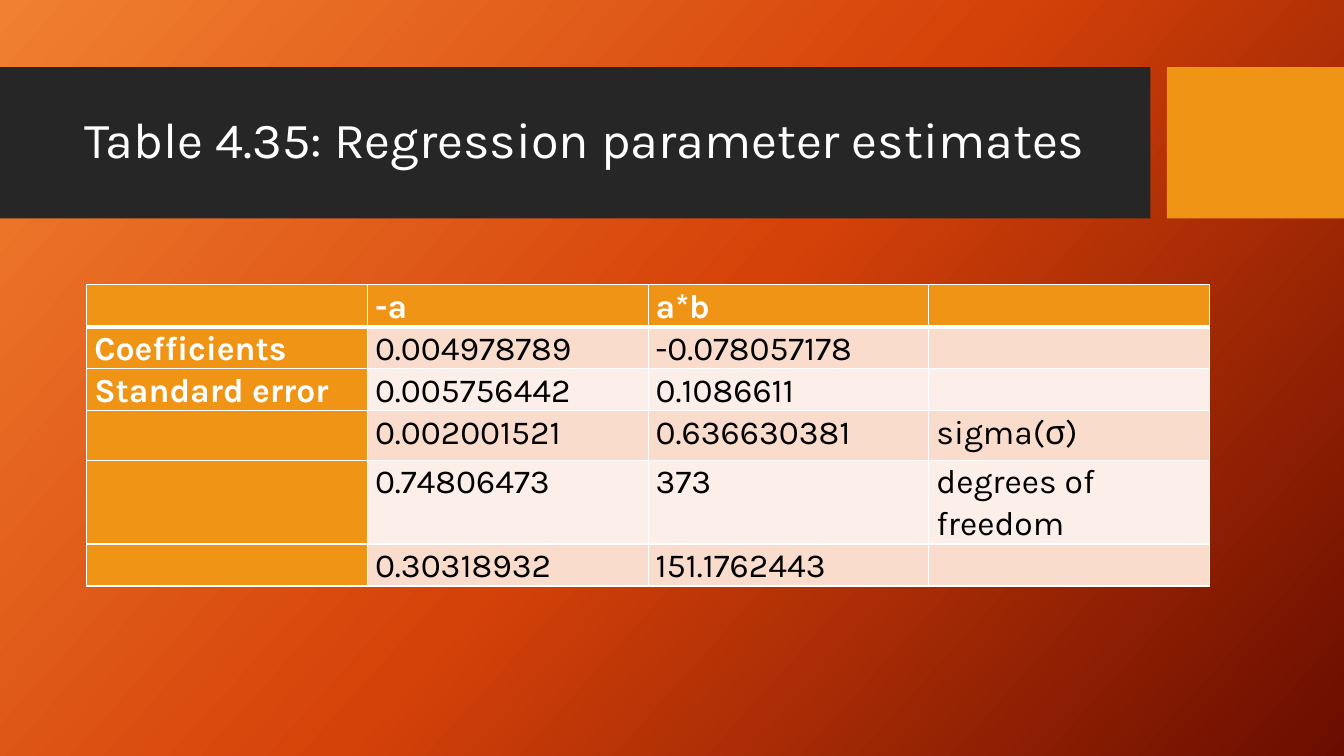
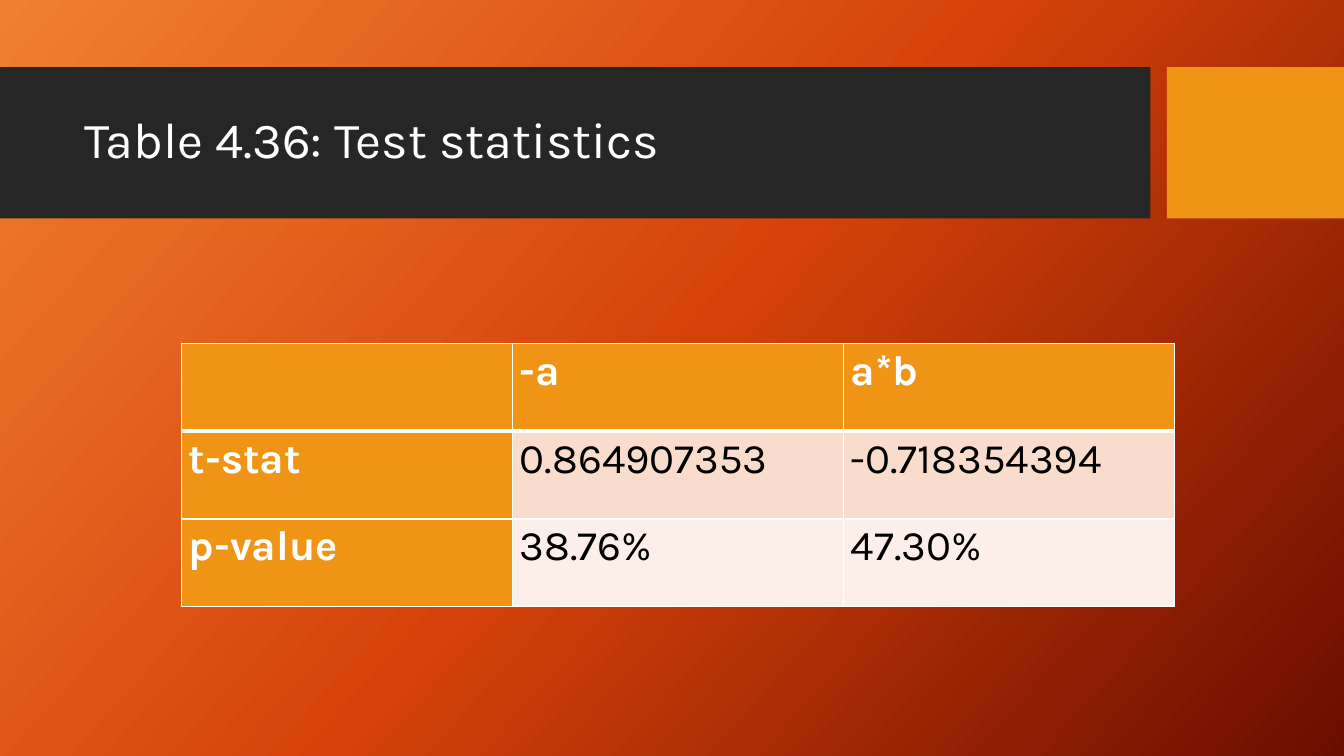
from dataclasses import dataclass

from lxml import etree
from pptx import Presentation
from pptx.dml.color import RGBColor
from pptx.enum.shapes import MSO_SHAPE
from pptx.enum.text import MSO_ANCHOR, PP_ALIGN
from pptx.oxml.ns import qn
from pptx.util import Pt

RECT = MSO_SHAPE.RECTANGLE
MIDDLE, TOP = MSO_ANCHOR.MIDDLE, MSO_ANCHOR.TOP
LEFT = PP_ALIGN.LEFT
TITLE_ONLY = 5


@dataclass(frozen=True)
class Theme:
    font: str = "Karla"
    white: str = "FFFFFF"
    black: str = "000000"
    dark: str = "262626"
    accent: str = "F09415"
    tints: tuple[str, str] = ("FCEEE8", "F9DCCC")
    stops: tuple[str, ...] = ("F18031", "D54209", "6A0D00")
    angle: int = 42
    title: float = 36
    thin: float = 1
    thick: float = 3


@dataclass(frozen=True)
class Box:
    left: float
    top: float
    width: float
    height: float


@dataclass(frozen=True)
class Band:
    box: Box
    fill: str


@dataclass(frozen=True)
class Grid:
    title: str
    left: float
    top: float
    width: float
    size: float
    heights: tuple[float, ...]
    rows: tuple[tuple[str, ...], ...]


THEME = Theme()
TITLE_BOX = Box(53.5, 59, 756.5, 85)
BANDS = (
    Band(Box(0, 48, 821.75, 108), THEME.dark),
    Band(Box(833.5, 48, 126.5, 108), THEME.accent),
)
GRIDS = (
    Grid("Table 4.35: Regression parameter estimates",
         62, 203.5, 802, 24, (29, 29, 29, 35.3, 30, 29), (
             ("", "-a", "a*b", ""),
             ("Coefficients", "0.004978789", "-0.078057178", ""),
             ("Standard error", "0.005756442", "0.1086611", ""),
             ("", "0.002001521", "0.636630381", "sigma(σ)"),
             ("", "0.74806473", "373", "degrees of freedom"),
             ("", "0.30318932", "151.1762443", ""),
         )),
    Grid("Table 4.36: Test statistics",
         129.5, 245.5, 709.5, 30, (62.6,) * 3, (
             ("", "-a", "a*b"),
             ("t-stat", "0.864907353", "-0.718354394"),
             ("p-value", "38.76%", "47.30%"),
         )),
)


def write(frame, text: str, *, size: float, color: str,
          bold: bool = False, spacing: float = 1.0) -> None:
    para = frame.paragraphs[0]
    para.alignment = LEFT
    para.line_spacing = spacing
    if not text:
        return
    run = para.add_run()
    run.text = text
    font = run.font
    font.name, font.size, font.bold = THEME.font, Pt(size), bold
    font.color.rgb = RGBColor.from_string(color)


def paint(fill, color: str) -> None:
    fill.solid()
    fill.fore_color.rgb = RGBColor.from_string(color)


def place(shape, box: Box) -> None:
    shape.left, shape.top = Pt(box.left), Pt(box.top)
    shape.width, shape.height = Pt(box.width), Pt(box.height)


def set_back(layout) -> None:
    fill = layout.background.fill
    fill.gradient()
    fill.gradient_angle = 360 - THEME.angle
    stops = layout.element.find(".//" + qn("a:gsLst"))
    for stop in list(stops):
        stops.remove(stop)
    step = 100000 // (len(THEME.stops) - 1)
    for i, color in enumerate(THEME.stops):
        stop = etree.SubElement(stops, qn("a:gs"), pos=str(i * step))
        etree.SubElement(stop, qn("a:srgbClr"), val=color)


def set_bands(layout, slide) -> None:
    """Draw the bands on a slide, then move them behind the layout's text."""
    tree = layout.element.cSld.spTree
    for i, band in enumerate(BANDS):
        box = band.box
        shape = slide.shapes.add_shape(
            RECT, Pt(box.left), Pt(box.top), Pt(box.width), Pt(box.height))
        shape.shadow.inherit = False
        paint(shape.fill, band.fill)
        shape.line.fill.background()
        tree.insert(2 + i, shape.element)


def set_lines(cell, row: int) -> None:
    """Rule all four sides, with a thick rule under the head row."""
    props = cell._tc.get_or_add_tcPr()
    heavy = {0: "B", 1: "T"}.get(row)
    for side in "LRTB":
        width = THEME.thick if side == heavy else THEME.thin
        line = etree.SubElement(props, qn(f"a:ln{side}"), w=str(Pt(width)))
        fill = etree.SubElement(line, qn("a:solidFill"))
        etree.SubElement(fill, qn("a:srgbClr"), val=THEME.white)


def add_grid(slide, grid: Grid) -> None:
    table = slide.shapes.add_table(
        len(grid.rows), len(grid.rows[0]), Pt(grid.left), Pt(grid.top),
        Pt(grid.width), Pt(sum(grid.heights))).table
    table.first_col = True
    for r, (texts, height) in enumerate(zip(grid.rows, grid.heights)):
        table.rows[r].height = Pt(height)
        for c, text in enumerate(texts):
            cell = table.cell(r, c)
            head = r == 0 or c == 0
            cell.margin_left = cell.margin_right = Pt(5.4)
            cell.margin_top = cell.margin_bottom = Pt(0)
            cell.vertical_anchor = TOP
            set_lines(cell, r)
            paint(cell.fill, THEME.accent if head else THEME.tints[r % 2])
            write(cell.text_frame, text, size=grid.size, bold=head,
                  color=THEME.white if head else THEME.black, spacing=1.07)


def add_title(slide, text: str) -> None:
    title = slide.shapes.title
    place(title, TITLE_BOX)
    title.text_frame.vertical_anchor = MIDDLE
    write(title.text_frame, text, size=THEME.title, color=THEME.white,
          spacing=0.9)


def main() -> None:
    deck = Presentation()
    deck.slide_width, deck.slide_height = Pt(960), Pt(540)
    layout = deck.slide_layouts[TITLE_ONLY]
    set_back(layout)
    slides = [deck.slides.add_slide(layout) for _ in GRIDS]
    set_bands(layout, slides[0])
    for slide, grid in zip(slides, GRIDS):
        add_title(slide, grid.title)
        add_grid(slide, grid)
    deck.save("out.pptx")


if __name__ == "__main__":
    main()
